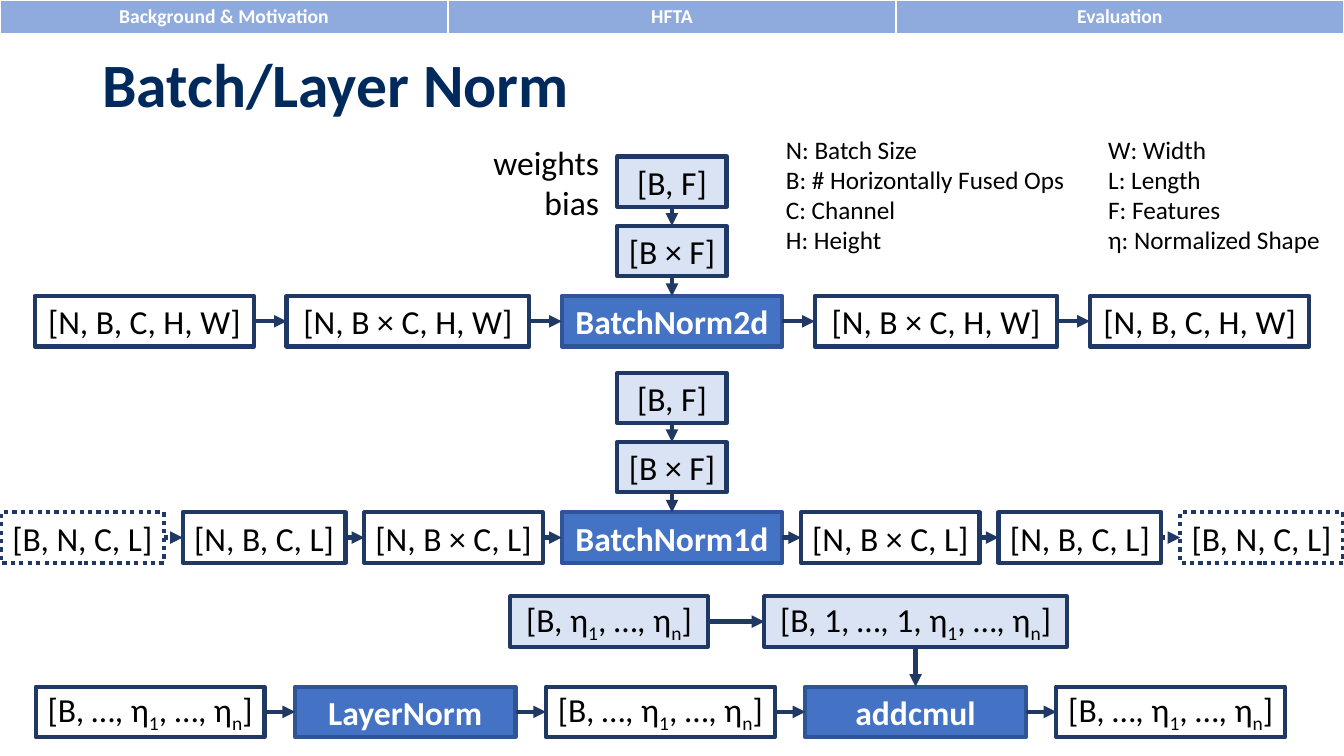
from itertools import pairwise

from lxml import etree
from pptx import Presentation
from pptx.dml.color import RGBColor
from pptx.enum.dml import MSO_LINE
from pptx.enum.shapes import MSO_CONNECTOR, MSO_SHAPE
from pptx.enum.text import MSO_ANCHOR, MSO_AUTO_SIZE, PP_ALIGN
from pptx.oxml.ns import qn
from pptx.util import Pt

PX = 9525
FONT = "Calibri"
LEFT, CENTER, RIGHT = PP_ALIGN.LEFT, PP_ALIGN.CENTER, PP_ALIGN.RIGHT
MIDDLE = MSO_ANCHOR.MIDDLE
NO_AUTOFIT = MSO_AUTO_SIZE.NONE
RECTANGLE = MSO_SHAPE.RECTANGLE
STRAIGHT = MSO_CONNECTOR.STRAIGHT
DOTTED = MSO_LINE.ROUND_DOT
TOP_SIDE, LEFT_SIDE, BOTTOM_SIDE, RIGHT_SIDE = range(4)

NAVY, WHITE, BLACK = "203864", "FFFFFF", "000000"
TITLE_BLUE, TAB_BLUE = "002A5C", "8FAADC"
OP_FILL, OP_LINE, WEIGHT_FILL = "4472C4", "2F5597", "DAE3F3"

# Kinds of box: fill, outline, text colour, bold, dotted outline
TENSOR = (WHITE, NAVY, BLACK, False, False)
OPTIONAL = (WHITE, NAVY, BLACK, False, True)
WEIGHT = (WEIGHT_FILL, NAVY, BLACK, False, False)
OP = (OP_FILL, OP_LINE, WHITE, True, False)

BOX_HEIGHT = 48
OP_WIDTH = 210
WEIGHT_WIDTH = 104
SLIDE_CENTER = 640


def px(*lengths):
    return [length * PX for length in lengths]


def rgb(hex_colour):
    return RGBColor.from_string(hex_colour)


def style_paragraph(paragraph, size, colour, bold=False, align=LEFT):
    paragraph.alignment = align
    font = paragraph.font
    font.name, font.size, font.bold = FONT, Pt(size), bold
    font.color.rgb = rgb(colour)


def add_subscripted(paragraph, text):
    """Write text in which each underscore lowers the next letter."""
    first, *rest = text.split("_")
    paragraph.add_run().text = first
    for piece in rest:
        subscript = paragraph.add_run()
        subscript.text = piece[0]
        subscript._r.get_or_add_rPr().set("baseline", "-25000")
        paragraph.add_run().text = piece[1:]


def add_box(slide, left, top, width, label, kind):
    fill, outline, colour, bold, dotted = kind
    box = slide.shapes.add_shape(RECTANGLE, *px(left, top, width, BOX_HEIGHT))
    box.shadow.inherit = False
    box.fill.solid()
    box.fill.fore_color.rgb = rgb(fill)
    box.line.color.rgb = rgb(outline)
    box.line.width = Pt(3)
    if dotted:
        box.line.dash_style = DOTTED
    frame = box.text_frame
    frame.word_wrap = False
    frame.vertical_anchor = MIDDLE
    add_subscripted(frame.paragraphs[0], label)
    style_paragraph(frame.paragraphs[0], 24, colour, bold, CENTER)
    return box


def add_arrow(slide, source, source_side, target, target_side, dotted=False):
    arrow = slide.shapes.add_connector(STRAIGHT, 0, 0, 0, 0)
    arrow.begin_connect(source, source_side)
    arrow.end_connect(target, target_side)
    arrow.line.color.rgb = rgb(NAVY)
    arrow.line.width = Pt(3)
    if dotted:
        arrow.line.dash_style = DOTTED
    properties = arrow._element.spPr
    etree.SubElement(properties.find(qn("a:ln")), qn("a:tailEnd"), type="triangle")
    etree.SubElement(properties, qn("a:effectLst"))


def add_flow(slide, left, top, gap, steps):
    """Lay out (label, width, kind) steps from left to right, joined by arrows."""
    boxes = []
    for label, width, kind in steps:
        boxes.append(add_box(slide, left, top, width, label, kind))
        left += width + gap
    kinds = [kind for _, _, kind in steps]
    for (source, target), ends in zip(pairwise(boxes), pairwise(kinds)):
        add_arrow(slide, source, RIGHT_SIDE, target, LEFT_SIDE, OPTIONAL in ends)
    return boxes


def add_weight_stack(slide, top, operator):
    left = SLIDE_CENTER - WEIGHT_WIDTH // 2
    weights = add_box(slide, left, top, WEIGHT_WIDTH, "[B, F]", WEIGHT)
    fused = add_box(slide, left, top + 66, WEIGHT_WIDTH, "[B × F]", WEIGHT)
    add_arrow(slide, weights, BOTTOM_SIDE, fused, TOP_SIDE)
    add_arrow(slide, fused, BOTTOM_SIDE, operator, TOP_SIDE)


def add_note(slide, left, top, width, height, lines, size, align=LEFT):
    frame = slide.shapes.add_textbox(*px(left, top, width, height)).text_frame
    frame.word_wrap = True
    frame.text = "\n".join(lines)
    for paragraph in frame.paragraphs:
        style_paragraph(paragraph, size, BLACK, align=align)


def add_section_tabs(slide, sections):
    tabs = slide.shapes.add_table(1, len(sections), *px(0, 0, 1280, 32)).table
    for cell, section in zip(tabs.rows[0].cells, sections):
        cell.fill.solid()
        cell.fill.fore_color.rgb = rgb(TAB_BLUE)
        cell.text = section
        style_paragraph(cell.text_frame.paragraphs[0], 14, WHITE, True, CENTER)


def set_title(slide, text):
    title = slide.shapes.title
    title.left, title.top, title.width, title.height = px(88, 14, 1104, 139)
    frame = title.text_frame
    frame.text = text
    frame.auto_size = NO_AUTOFIT
    frame.vertical_anchor = MIDDLE
    frame.paragraphs[0].line_spacing = 0.9
    style_paragraph(frame.paragraphs[0], 44, TITLE_BLUE, True)


def main():
    deck = Presentation()
    deck.slide_width, deck.slide_height = px(1280, 720)
    slide = deck.slides.add_slide(deck.slide_layouts[5])
    add_section_tabs(slide, ["Background & Motivation", "HFTA", "Evaluation"])
    set_title(slide, "Batch/Layer Norm")

    add_note(slide, 453, 130, 127, 87, ["weights", "bias"], 24, RIGHT)
    add_note(slide, 739, 123, 317, 126, [
        "N: Batch Size", "B: # Horizontally Fused Ops", "C: Channel", "H: Height"], 18)
    add_note(slide, 1046, 123, 234, 126, [
        "W: Width", "L: Length", "F: Features", "η: Normalized Shape"], 18)

    image = ("[N, B, C, H, W]", 209, TENSOR)
    fused_image = ("[N, B × C, H, W]", 231, TENSOR)
    batch_norm_2d = add_flow(slide, 33, 282, 31, [
        image, fused_image, ("BatchNorm2d", OP_WIDTH, OP), fused_image, image])[2]
    add_weight_stack(slide, 149, batch_norm_2d)

    batch_first = ("[B, N, C, L]", 155, OPTIONAL)
    sequence = ("[N, B, C, L]", 155, TENSOR)
    fused_sequence = ("[N, B × C, L]", 170, TENSOR)
    batch_norm_1d = add_flow(slide, 1, 488, 18, [
        batch_first, sequence, fused_sequence, ("BatchNorm1d", OP_WIDTH, OP),
        fused_sequence, sequence, batch_first])[3]
    add_weight_stack(slide, 355, batch_norm_1d)

    normalized = ("[B, …, η_1, …, η_n]", 218, TENSOR)
    addcmul = add_flow(slide, 34, 654, 29, [
        normalized, ("LayerNorm", OP_WIDTH, OP), normalized,
        ("addcmul", OP_WIDTH, OP), normalized])[3]
    expanded_weight = add_flow(slide, 486, 568, 54, [
        ("[B, η_1, …, η_n]", 188, WEIGHT),
        ("[B, 1, …, 1, η_1, …, η_n]", 288, WEIGHT)])[1]
    add_arrow(slide, expanded_weight, BOTTOM_SIDE, addcmul, TOP_SIDE)

    deck.save("out.pptx")


if __name__ == "__main__":
    main()
